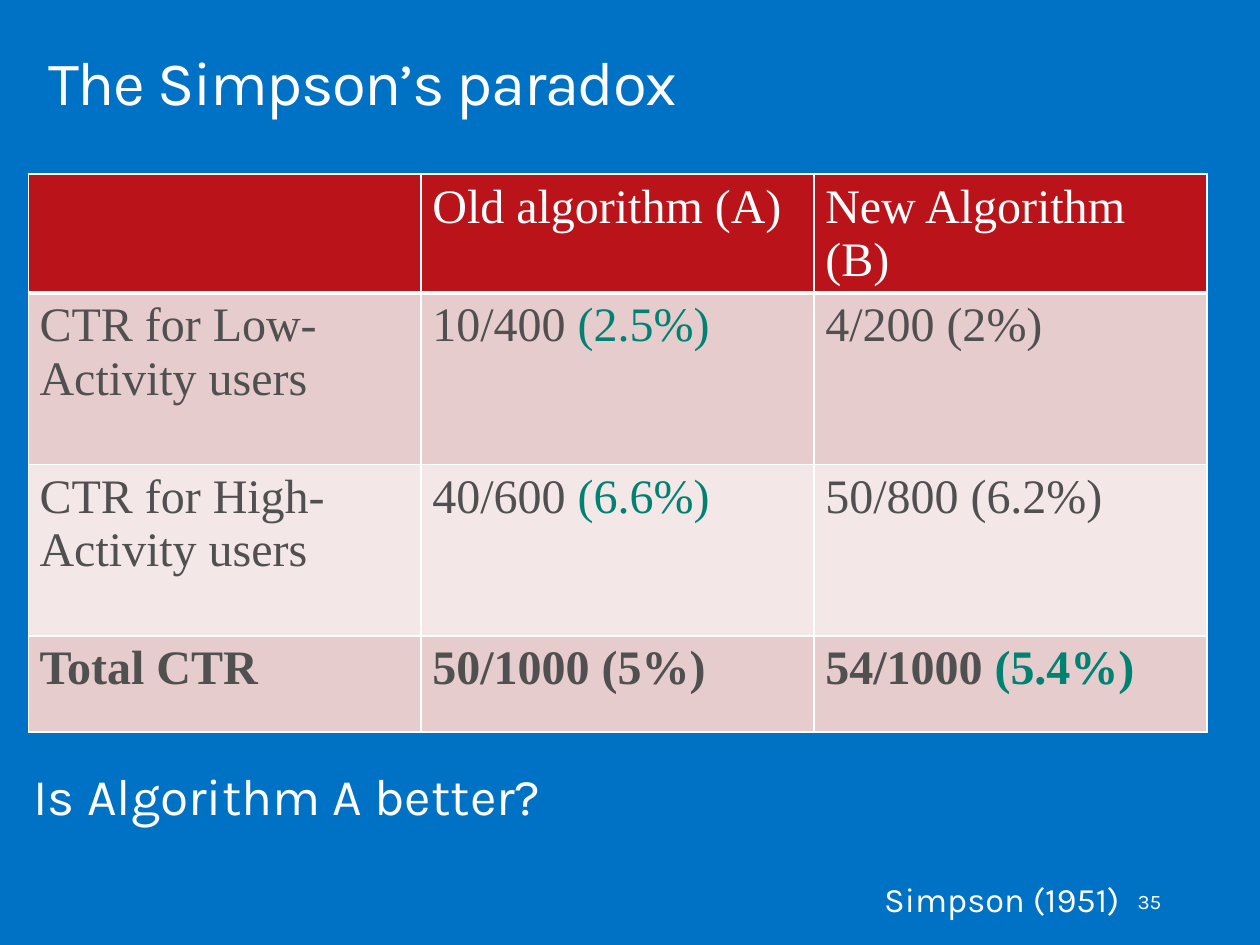
from dataclasses import dataclass

from lxml.etree import SubElement
from pptx import Presentation
from pptx.dml.color import RGBColor
from pptx.enum.text import MSO_ANCHOR, MSO_AUTO_SIZE, PP_ALIGN
from pptx.oxml.ns import qn
from pptx.shapes.base import BaseShape
from pptx.slide import Slide
from pptx.table import _Cell
from pptx.text.text import Font
from pptx.util import Pt

BLUE, RED, WHITE = "0072C6", "BA141A", "FFFFFF"
GREY, GREEN = "505050", "008272"
ROSE, PALE_ROSE = "E7CCCD", "F3E7E8"


@dataclass
class Label:
    text: str
    frame: tuple[float, float, float, float]
    size: float
    inset: tuple[float, float]
    align: PP_ALIGN = PP_ALIGN.LEFT
    anchor: MSO_ANCHOR = MSO_ANCHOR.TOP
    line_spacing: float = 0.9
    space_after: float = 0
    auto_size: MSO_AUTO_SIZE = MSO_AUTO_SIZE.NONE


@dataclass
class TableRow:
    cells: list[tuple[str, str]]  # plain text, highlighted text
    height: float
    fill: str
    color: str = GREY
    bold: bool = False
    bottom_border: float = 1


TITLE = Label("The Simpson’s paradox", (16.5, 23, 702, 72), 36, (11.5, 7.2))
QUESTION = Label("Is Algorithm A better?", (19.5, 446.5, 624, 44.5), 30, (0, 3))
PAGE_NUMBER = Label("35", (518.5, 510.5, 165.5, 29.5), 12, (7.2, 3.6),
                    PP_ALIGN.RIGHT, MSO_ANCHOR.MIDDLE, line_spacing=1)
CITATION = Label("Simpson (1951)", (157, 503.5, 510, 45), 20, (14.4, 11.5),
                 PP_ALIGN.RIGHT, space_after=6,
                 auto_size=MSO_AUTO_SIZE.SHAPE_TO_FIT_TEXT)

ROWS = [
    TableRow([("", ""), ("Old algorithm (A)", ""), ("New Algorithm (B)", "")],
             56, RED, WHITE, bottom_border=3),
    TableRow([("CTR for Low-Activity users", ""), ("10/400 ", "(2.5%)"),
              ("4/200 (2%)", "")], 100, ROSE),
    TableRow([("CTR for High-Activity users", ""), ("40/600 ", "(6.6%)"),
              ("50/800 (6.2%)", "")], 100, PALE_ROSE),
    TableRow([("Total CTR", ""), ("50/1000 (5%)", ""), ("54/1000 ", "(5.4%)")],
             56, ROSE, bold=True),
]
TABLE_LEFT, TABLE_TOP, COLUMN_WIDTH = 16.5, 101.5, 229


def rgb(value: str) -> RGBColor:
    return RGBColor.from_string(value)


def style_font(font: Font, name: str, size: float, color: str, bold: bool = False) -> None:
    font.name, font.size, font.bold = name, Pt(size), bold
    font.color.rgb = rgb(color)


def write_label(box: BaseShape, label: Label) -> None:
    box.left, box.top, box.width, box.height = map(Pt, label.frame)
    frame = box.text_frame
    frame.word_wrap = True
    frame.auto_size = label.auto_size
    frame.vertical_anchor = label.anchor
    frame.margin_left = frame.margin_right = Pt(label.inset[0])
    frame.margin_top = frame.margin_bottom = Pt(label.inset[1])
    para = frame.paragraphs[0]
    para.text = label.text
    para.alignment = label.align
    para.line_spacing = label.line_spacing
    para.space_before, para.space_after = Pt(0), Pt(label.space_after)
    properties = para._p.get_or_add_pPr()
    properties.set("marL", "0")
    properties.set("indent", "0")
    SubElement(properties, qn("a:buNone"))
    style_font(para.font, "Karla", label.size, WHITE)


def add_label(page: Slide, label: Label) -> None:
    write_label(page.shapes.add_textbox(*map(Pt, label.frame)), label)


def draw_borders(cell: _Cell, bottom_width: float) -> None:
    properties = cell._tc.get_or_add_tcPr()
    for side, width in (("L", 1), ("R", 1), ("T", 1), ("B", bottom_width)):
        line = SubElement(properties, qn(f"a:ln{side}"), w=str(Pt(width)))
        SubElement(SubElement(line, qn("a:solidFill")), qn("a:srgbClr"), val=WHITE)


def fill_cell(cell: _Cell, content: tuple[str, str], row: TableRow) -> None:
    draw_borders(cell, row.bottom_border)
    cell.fill.solid()
    cell.fill.fore_color.rgb = rgb(row.fill)
    cell.margin_left = cell.margin_right = Pt(6.6)
    cell.margin_top = cell.margin_bottom = Pt(3.6)
    para = cell.text_frame.paragraphs[0]
    style_font(para.font, "Times New Roman", 28, row.color, row.bold)
    plain, highlight = content
    if plain:
        para.add_run().text = plain
    if highlight:
        span = para.add_run()
        span.text = highlight
        span.font.color.rgb = rgb(GREEN)


def add_results_table(page: Slide) -> None:
    columns = len(ROWS[0].cells)
    table = page.shapes.add_table(
        len(ROWS), columns, Pt(TABLE_LEFT), Pt(TABLE_TOP),
        Pt(columns * COLUMN_WIDTH), Pt(sum(row.height for row in ROWS))).table
    for column in table.columns:
        column.width = Pt(COLUMN_WIDTH)
    for row_index, row in enumerate(ROWS):
        table.rows[row_index].height = Pt(row.height)
        for column_index, content in enumerate(row.cells):
            fill_cell(table.cell(row_index, column_index), content, row)


def main() -> None:
    deck = Presentation()
    deck.slide_width, deck.slide_height = Pt(734.4), Pt(550.8)
    page = deck.slides.add_slide(deck.slide_layouts[1])
    page.background.fill.solid()
    page.background.fill.fore_color.rgb = rgb(BLUE)

    # Title and question
    title, body = page.shapes.title, page.placeholders[1]
    write_label(title, TITLE)
    title_span = title.text_frame.paragraphs[0].runs[0]
    title_span._r.get_or_add_rPr().set("spc", "-80")
    write_label(body, QUESTION)

    # Click-through rates
    add_results_table(page)

    # Footer
    add_label(page, PAGE_NUMBER)
    add_label(page, CITATION)

    deck.save("out.pptx")


if __name__ == "__main__":
    main()
